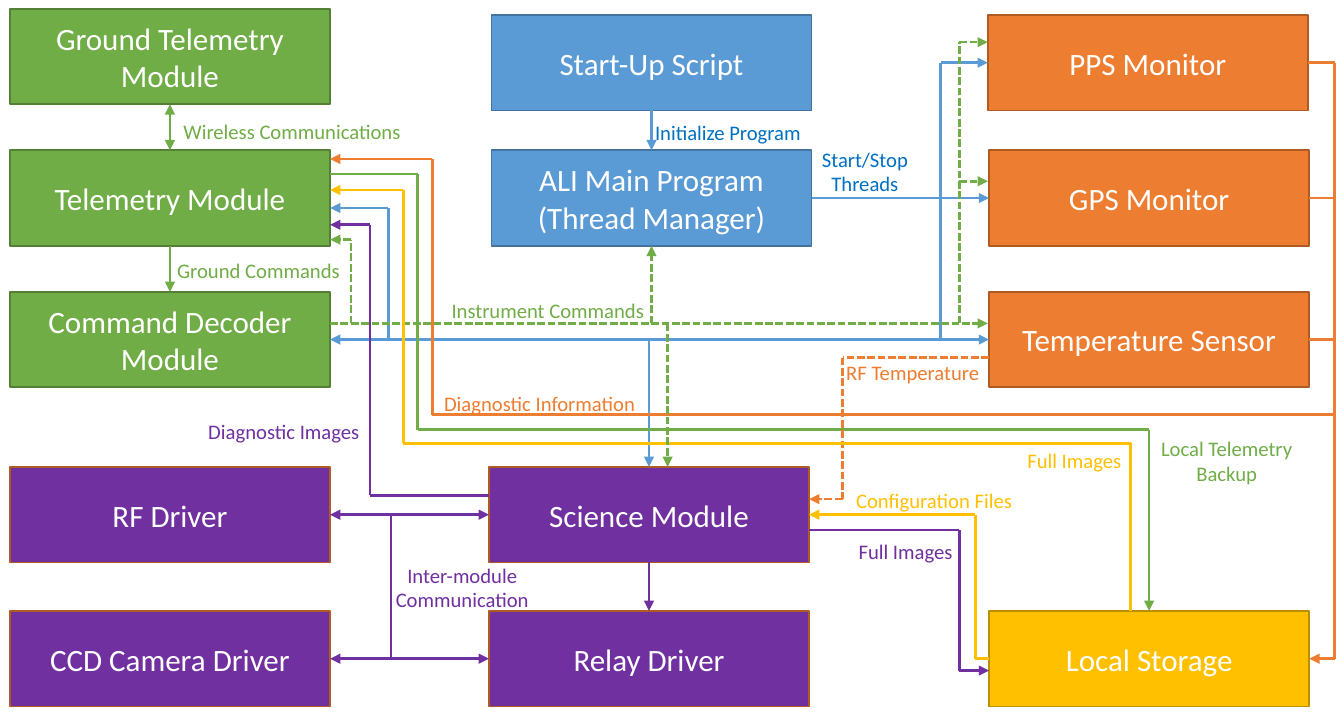
"""Draw the software module diagram of the ALI instrument on one slide."""
import itertools

import lxml.etree
import pptx
import pptx.dml.color
import pptx.enum.dml
import pptx.enum.shapes
import pptx.enum.text
import pptx.oxml.ns
import pptx.util

COLOURS = {
    "blue": "5B9BD5", "blue edge": "43739E", "blue text": "0070C0",
    "green": "70AD47", "green edge": "538035",
    "orange": "ED7D31", "orange edge": "AF5C24",
    "gold": "FFC000", "gold edge": "BD8E00",
    "purple": "7030A0", "purple edge": "AF5C24", "white": "FFFFFF",
}
GRID_COLUMNS, GRID_ROWS = 1083, 575
CELL = pptx.util.Inches(0.01)
BOX_WIDTH, BOX_HEIGHT = 258, 77
LEFT, CENTRE, LOWER_CENTRE, RIGHT = 8, 396, 394, 797
ROW_2, ROW_3, ROW_4, ROW_5 = 121, 235, 376, 492
MIDDLE_2, MIDDLE_3, MIDDLE_4, MIDDLE_5 = (
    row + BOX_HEIGHT / 2 for row in (ROW_2, ROW_3, ROW_4, ROW_5))
PPS_MIDDLE = 12 + BOX_HEIGHT / 2
LEFT_EDGE = LEFT + BOX_WIDTH
LEFT_AXIS = LEFT + BOX_WIDTH / 2
PROGRAM_AXIS = CENTRE + BOX_WIDTH / 2
SCIENCE_AXIS = LOWER_CENTRE + BOX_WIDTH / 2
SCIENCE_EDGE = LOWER_CENTRE + BOX_WIDTH
RIGHT_EDGE = RIGHT + BOX_WIDTH
COMMAND_LANE, DIAGNOSTIC_LANE, DIAGNOSTIC_BUS = 260.5, 334, 1075.5

BOXES = [
    ("Ground Telemetry Module", "green", LEFT, 7),
    ("Telemetry Module", "green", LEFT, ROW_2),
    ("Command Decoder Module", "green", LEFT, ROW_3),
    ("Start-Up Script", "blue", CENTRE, 12),
    ("ALI Main Program\n(Thread Manager)", "blue", CENTRE, ROW_2),
    ("PPS Monitor", "orange", RIGHT - 1, 12),
    ("GPS Monitor", "orange", RIGHT, ROW_2),
    ("Temperature Sensor", "orange", RIGHT, ROW_3),
    ("RF Driver", "purple", LEFT, ROW_4),
    ("CCD Camera Driver", "purple", LEFT, ROW_5),
    ("Science Module", "purple", LOWER_CENTRE, ROW_4),
    ("Relay Driver", "purple", LOWER_CENTRE, ROW_5),
    ("Local Storage", "gold", RIGHT, ROW_5),
]
ROUTES = [
    ("blue", ">", [(PROGRAM_AXIS, 89), (PROGRAM_AXIS, ROW_2)]),
    ("green", "<>", [(LEFT_AXIS, 84), (LEFT_AXIS, ROW_2)]),
    ("green", ">", [(LEFT_AXIS, 198), (LEFT_AXIS, ROW_3)]),
    ("purple", "<>", [(LOWER_CENTRE, MIDDLE_5), (LEFT_EDGE, MIDDLE_5)]),
    ("purple", "<>", [(LOWER_CENTRE, MIDDLE_4), (LEFT_EDGE, MIDDLE_4)]),
    ("purple", "", [(315, MIDDLE_4), (315, MIDDLE_5)]),
    ("blue", "<>", [(RIGHT, MIDDLE_3), (LEFT_EDGE, MIDDLE_3)]),
    ("blue", ">", [(CENTRE + BOX_WIDTH, MIDDLE_2), (RIGHT, MIDDLE_2)]),
    ("blue", ">", [(758, MIDDLE_3), (758, PPS_MIDDLE), (RIGHT - 1, PPS_MIDDLE)]),
    ("blue", ">", [(313, MIDDLE_3), (313, 167.5), (LEFT_EDGE, 167.5)]),
    ("blue", ">", [(SCIENCE_AXIS, MIDDLE_3), (SCIENCE_AXIS, ROW_4)]),
    ("orange", ">", [(RIGHT_EDGE - 1, PPS_MIDDLE), (DIAGNOSTIC_BUS, PPS_MIDDLE),
                     (DIAGNOSTIC_BUS, MIDDLE_5), (RIGHT_EDGE, MIDDLE_5)]),
    ("orange", "", [(RIGHT_EDGE, MIDDLE_2), (DIAGNOSTIC_BUS, MIDDLE_2)]),
    ("orange", "", [(RIGHT_EDGE, MIDDLE_3), (DIAGNOSTIC_BUS, MIDDLE_3)]),
    ("orange", ">", [(DIAGNOSTIC_BUS, DIAGNOSTIC_LANE), (348.5, DIAGNOSTIC_LANE),
                     (348.5, 128), (LEFT_EDGE, 128)]),
    ("green", ">", [(LEFT_EDGE, 140), (336.5, 140), (336.5, 346), (926, 346),
                    (926, ROW_5)]),
    ("green dash", ">", [(PROGRAM_AXIS, COMMAND_LANE), (PROGRAM_AXIS, 198)]),
    ("green dash", ">", [(LEFT_EDGE, COMMAND_LANE), (RIGHT - 1, COMMAND_LANE)]),
    ("purple", ">", [(SCIENCE_AXIS, 453), (SCIENCE_AXIS, ROW_5)]),
    ("orange dash", ">", [(RIGHT, 288), (679, 288), (679, 402), (SCIENCE_EDGE, 402)]),
    ("gold", ">", [(RIGHT, MIDDLE_5), (786, MIDDLE_5), (786, MIDDLE_4),
                   (SCIENCE_EDGE, MIDDLE_4)]),
    ("purple", ">", [(SCIENCE_EDGE, 427), (773, 427), (773, 540), (RIGHT, 540)]),
    ("purple", ">", [(LOWER_CENTRE, 399), (298, 399), (298, 181), (LEFT_EDGE, 181)]),
    ("green dash", ">", [(773, COMMAND_LANE), (773, 34), (RIGHT - 1, 34)]),
    ("green dash", ">", [(773, 146), (RIGHT - 1, 146)]),
    ("green dash", ">", [(283, COMMAND_LANE), (283, 193), (LEFT_EDGE, 193)]),
    ("gold", ">", [(911, ROW_5), (911, 357), (325, 357), (325, 153), (LEFT_EDGE, 153)]),
    ("green dash", ">", [(538, COMMAND_LANE), (538, ROW_4)]),
]
LABELS = [
    ("Initialize Program", "blue text", 518, 92, 139),
    ("Start/Stop\nThreads", "blue text", 650, 113, 94),
    ("Diagnostic Information", "orange", 348, 310, 176),
    ("Local Telemetry\nBackup", "green", 923, 346, 131),
    ("Instrument Commands", "green", 354, 235, 177),
    ("Inter-module\nCommunication", "purple", 308, 448, 129),
    ("Wireless Communications", "green", 138, 91, 197),
    ("Ground Commands", "green", 133, 203, 153),
    ("RF Temperature", "orange", 672, 285, 128),
    ("Configuration Files", "gold", 680, 388, 147),
    ("Full Images", "purple", 682, 429, 97),
    ("Diagnostic Images", "purple", 158, 332, 144),
    ("Full Images", "gold", 818, 356, 97),
]


def colour(name):
    """Return the named colour."""
    return pptx.dml.color.RGBColor.from_string(COLOURS[name])


def write(shape, text, size, colour_name, centred):
    """Write each line of text as a formatted paragraph."""
    frame = shape.text_frame
    for number, line in enumerate(text.split("\n")):
        paragraph = frame.add_paragraph() if number else frame.paragraphs[0]
        paragraph.text = line
        alignment = pptx.enum.text.PP_ALIGN
        paragraph.alignment = alignment.CENTER if centred else alignment.LEFT
        paragraph.font.name = "Calibri"
        paragraph.font.size = pptx.util.Pt(size)
        paragraph.font.color.rgb = colour(colour_name)


presentation = pptx.Presentation()
presentation.slide_width = GRID_COLUMNS * CELL
presentation.slide_height = GRID_ROWS * CELL
slide = presentation.slides.add_slide(presentation.slide_layouts[6])

sites = {}
for text, fill, left, top in BOXES:
    box = slide.shapes.add_shape(
        pptx.enum.shapes.MSO_SHAPE.RECTANGLE,
        left * CELL, top * CELL, BOX_WIDTH * CELL, BOX_HEIGHT * CELL)
    box.shadow.inherit = False
    box.fill.solid()
    box.fill.fore_color.rgb = colour(fill)
    box.line.color.rgb = colour(fill + " edge")
    box.line.width = pptx.util.Pt(1)
    box.text_frame.word_wrap = True
    box.text_frame.vertical_anchor = pptx.enum.text.MSO_ANCHOR.MIDDLE
    write(box, text, size=18, colour_name="white", centred=True)
    axis, middle = left + BOX_WIDTH / 2, top + BOX_HEIGHT / 2
    side_middles = [(axis, top), (left, middle),
                    (axis, top + BOX_HEIGHT), (left + BOX_WIDTH, middle)]
    for site, point in enumerate(side_middles):
        sites[point] = (box, site)

for style, arrows, points in ROUTES:
    for start, end in itertools.pairwise(points):
        connector = slide.shapes.add_connector(
            pptx.enum.shapes.MSO_CONNECTOR.STRAIGHT,
            *(int(length * CELL) for length in start + end))
        if start in sites:
            connector.begin_connect(*sites[start])
        if end in sites:
            connector.end_connect(*sites[end])
        connector.line.color.rgb = colour(style.split()[0])
        connector.line.width = pptx.util.Pt(1.5)
        if style.endswith("dash"):
            connector.line.dash_style = pptx.enum.dml.MSO_LINE.SQUARE_DOT
        properties = connector._element.spPr
        outline = properties.find(pptx.oxml.ns.qn("a:ln"))
        if "<" in arrows and start == points[0]:
            lxml.etree.SubElement(outline, pptx.oxml.ns.qn("a:headEnd"), type="triangle")
        if ">" in arrows and end == points[-1]:
            lxml.etree.SubElement(outline, pptx.oxml.ns.qn("a:tailEnd"), type="triangle")
        lxml.etree.SubElement(properties, pptx.oxml.ns.qn("a:effectLst"))

for text, text_colour, left, top, width in LABELS:
    height = 50 if "\n" in text else 30
    label = slide.shapes.add_textbox(
        left * CELL, top * CELL, width * CELL, height * CELL)
    label.text_frame.word_wrap = False
    label.text_frame.auto_size = pptx.enum.text.MSO_AUTO_SIZE.SHAPE_TO_FIT_TEXT
    write(label, text, size=12, colour_name=text_colour, centred="\n" in text)

presentation.save("out.pptx")
